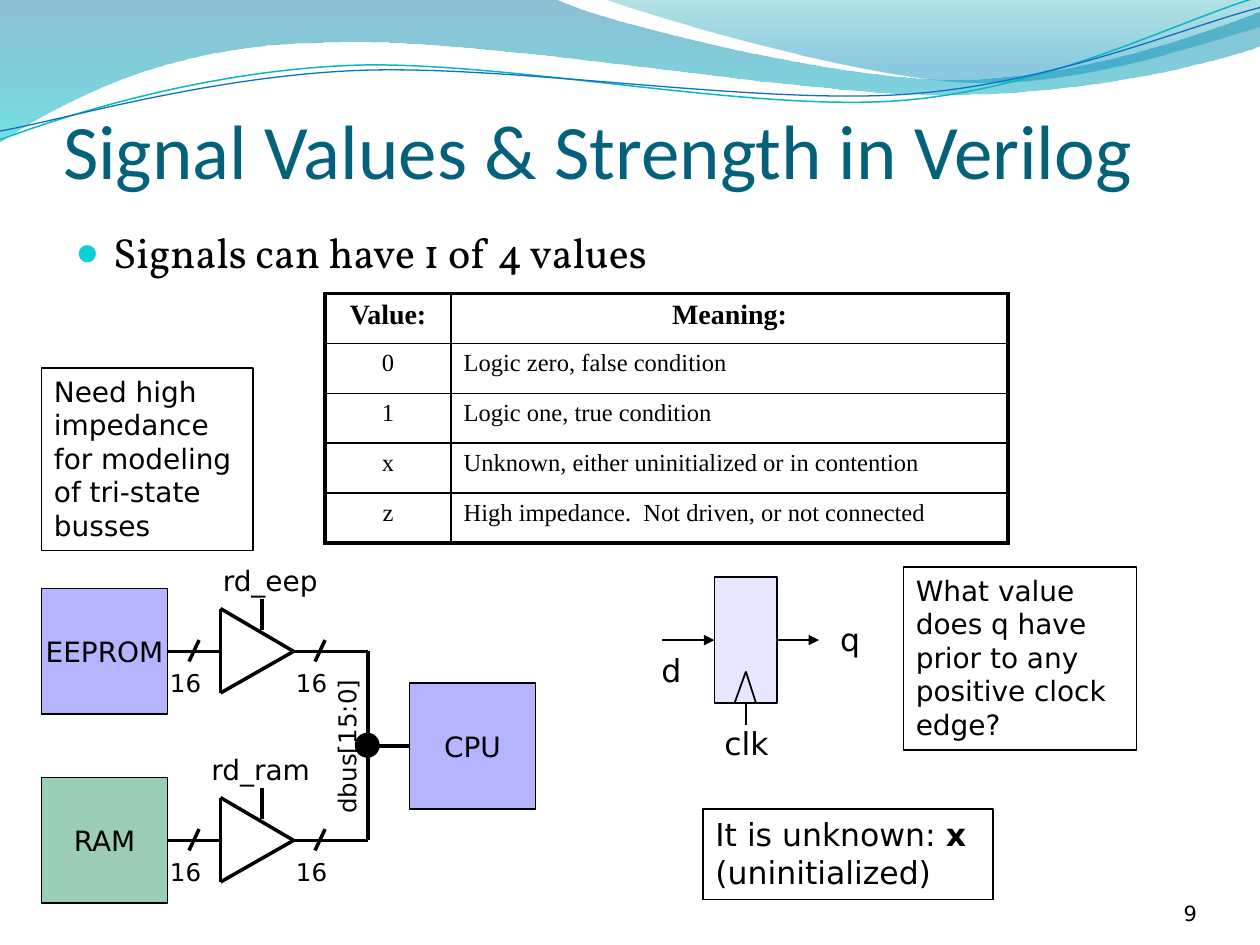
import pptx
import pptx.util
import pptx.dml.color
import pptx.enum.shapes
import pptx.enum.text
import pptx.oxml
import pptx.oxml.ns
from lxml import etree

Inches, Pt = pptx.util.Inches, pptx.util.Pt
ALIGN, ANCHOR = pptx.enum.text.PP_ALIGN, pptx.enum.text.MSO_ANCHOR
SHAPE = pptx.enum.shapes.MSO_SHAPE
qn = pptx.oxml.ns.qn

COLORS = {"ink": "000000", "title": "04617B", "bullet": "0BD0D9", "blue": "6969FF",
          "green": "339966", "teal_line": "0AB8BF", "blue_line": "0F6FC6"}
SANS, SERIF, HEAD, BODY = "DejaVu Sans", "Times New Roman", "Calibri", "Vollkorn"

TITLE = "Signal Values & Strength in Verilog"
POINT = "Signals can have 1 of 4 values"
VALUES = [("Value:", "Meaning:"),
          ("0", "Logic zero, false condition"),
          ("1", "Logic one, true condition"),
          ("x", "Unknown, either uninitialized or in contention"),
          ("z", "High impedance.  Not driven, or not connected")]
COLUMN_WIDTHS = (1, 4.42)

BANDS = [
    ([(0, -0.01), (4.4, -0.01), (4.76, 0.17, 6.64, 0.63, 7.58, 0.63),
      (8.53, 0.63, 9.58, 0.26, 10, 0.09), (10.01, 0.36),
      (9.83, 0.44, 8.7, 0.76, 7.46, 0.75), (6.22, 0.75, 3.82, 0.28, 2.57, 0.34),
      (1.29, 0.35, 0.46, 0.83, -0.01, 1.13)],
     [(0, "0074A1", 45), (1, "00C6CF", 55)]),
    ([(4.79, -0.01), (5.09, 0.11, 6.82, 0.62, 7.69, 0.65),
      (8.56, 0.69, 9.61, 0.32, 10, 0.21), (10, 0)],
     [(0, "00A1A9", 30), (0.8, "008BBF", 45)])]
WAVES = [
    ([(0, 1.11), (0.48, 0.93, 1.58, 0.57, 2.77, 0.52), (3.95, 0.47, 5.93, 0.89, 7.13, 0.8),
      (8.33, 0.71, 9.38, 0.15, 9.98, -0.02)], "teal_line", 0.85),
    ([(0, 1.04), (0.47, 0.96, 1.64, 0.61, 2.83, 0.56), (4.03, 0.51, 5.97, 0.83, 7.17, 0.75),
      (8.36, 0.67, 9.41, 0.21, 10, 0.06)], "blue_line", 0.75)]

NOTES = [((0.33, 2.92, 1.68, 1.45), 16, True,
          [[("Need high impedance for modeling of tri-state", False)], [("busses", False)]]),
         ((7.17, 4.5, 1.85, 1.45), 16, True,
          [[("What value", False)],
           [("does q have prior to any positive clock edge?", False)]]),
         ((5.58, 6.42, 2.3, 0.72), 18, False,
          [[("It is unknown: ", False), ("x", True)], [("(uninitialized)", False)]])]
CHANNELS = [("EEPROM", "blue", 5.17, "rd_eep", 1.67, 0.98),
            ("RAM", "green", 6.67, "rd_ram", 1.58, 1.02)]
BUFFER_LINES = [(2.33, 0, 1.75, -0.34), (2.33, 0, 1.75, 0.33), (1.75, 0.33, 1.75, -0.34),
                (2.08, -0.17, 2.08, -0.42), (2.33, 0, 2.92, 0)]
WIDTH_MARKS = (1.5, 2.5)
FLOP_LABELS = [("clk", 5.65, 5.7, 0.55), ("q", 6.57, 4.87, 0.36), ("d", 5.15, 5.12, 0.36)]
CLOCK_NOTCH = [(5.92, 5.33, 5.83, 5.58), (6, 5.58, 5.92, 5.33)]

deck = pptx.Presentation()
deck.slide_width, deck.slide_height = Inches(10), Inches(7.5)
slide = deck.slides.add_slide(deck.slide_layouts[5])
shapes = slide.shapes


def rgb(value):
    return pptx.dml.color.RGBColor.from_string(COLORS.get(value, value))


def set_alpha(color_element, percent):
    etree.SubElement(color_element, qn("a:alpha"), val=str(percent * 1000))


def add_run(paragraph, text, size, font=SANS, color="ink", bold=False):
    run = paragraph.add_run()
    run.text = text
    run.font.size, run.font.name, run.font.bold = Pt(size), font, bold
    run.font.color.rgb = rgb(color)


def add_label(text, box, size, align=ALIGN.LEFT, wrap=False):
    label = shapes.add_textbox(*map(Inches, box))
    label.text_frame.word_wrap = wrap
    paragraph = label.text_frame.paragraphs[0]
    paragraph.alignment = align
    add_run(paragraph, text, size)
    return label


def add_block(box, fill=None, alpha=None, text=None, kind=SHAPE.RECTANGLE, weight=1):
    block = shapes.add_shape(kind, *map(Inches, box))
    block.shadow.inherit = False
    block.line.color.rgb, block.line.width = rgb("ink"), Pt(weight)
    if fill:
        block.fill.solid()
        block.fill.fore_color.rgb = rgb(fill)
        if alpha:
            set_alpha(block._element.spPr.find(qn("a:solidFill"))[0], alpha)
    else:
        block.fill.background()
    if text:
        block.text_frame.word_wrap = False
        block.text_frame.vertical_anchor = ANCHOR.MIDDLE
        block.text_frame.paragraphs[0].alignment = ALIGN.CENTER
        add_run(block.text_frame.paragraphs[0], text, 16)
    return block


def add_wire(ends, weight=2, start=None, end=None, arrow=False):
    wire = shapes.add_connector(pptx.enum.shapes.MSO_CONNECTOR.STRAIGHT, *map(Inches, ends))
    if start:
        wire.begin_connect(*start)
    if end:
        wire.end_connect(*end)
    wire.line.color.rgb, wire.line.width = rgb("ink"), Pt(weight)
    if arrow:
        etree.SubElement(wire.line._get_or_add_ln(), qn("a:tailEnd"), type="triangle")
    etree.SubElement(wire._element.spPr, qn("a:effectLst"))


def add_outline(segments, closed):
    knots = [(Inches(segment[-2]), Inches(segment[-1])) for segment in segments]
    builder = shapes.build_freeform(*knots[0])
    builder.add_line_segments(knots[1:], close=closed)
    outline = builder.convert_to_shape()
    outline.shadow.inherit = False
    straights = list(outline._element.spPr.iter(qn("a:lnTo")))
    for straight, segment in zip(straights, segments[1:]):
        if len(segment) == 6:
            curve = etree.Element(qn("a:cubicBezTo"))
            for x, y in zip(segment[::2], segment[1::2]):
                etree.SubElement(curve, qn("a:pt"), x=str(Inches(x) - outline.left),
                                 y=str(Inches(y) - outline.top))
            straight.getparent().replace(straight, curve)
    return outline


for segments, stops in BANDS:
    band = add_outline(segments, True)
    band.line.fill.background()
    band.fill.gradient()
    band.fill.gradient_angle = 270
    for stop, (position, color, _) in zip(band.fill.gradient_stops, stops):
        stop.position, stop.color.rgb = position, rgb(color)
    for element, (_, _, alpha) in zip(band._element.spPr.iter(qn("a:srgbClr")), stops):
        set_alpha(element, alpha)
for segments, color, weight in WAVES:
    wave = add_outline(segments, False)
    wave.fill.background()
    wave.line.color.rgb, wave.line.width = rgb(color), Pt(weight)

title = shapes.title
title.left, title.top, title.width, title.height = map(Inches, (0.5, 0.3, 9, 1.25))
frame = title.text_frame
frame.auto_size, frame.vertical_anchor = pptx.enum.text.MSO_AUTO_SIZE.NONE, ANCHOR.BOTTOM
frame.margin_left = frame.margin_right = frame.margin_bottom = 0
frame.margin_top = Inches(0.05)
frame.paragraphs[0].alignment = ALIGN.LEFT
add_run(frame.paragraphs[0], TITLE, 44, HEAD, "title")

body = shapes.add_textbox(*map(Inches, (0.5, 1.75, 4.92, 5.42)))
body.text_frame.word_wrap = True
point = body.text_frame.paragraphs[0]
bullet = point._p.get_or_add_pPr()
bullet.set("marL", str(Inches(0.3)))
bullet.set("indent", str(Inches(-0.3)))
etree.SubElement(etree.SubElement(bullet, qn("a:buClr")), qn("a:srgbClr"), val=COLORS["bullet"])
etree.SubElement(bullet, qn("a:buSzPct"), val="95000")
etree.SubElement(bullet, qn("a:buFont"), typeface=SERIF)
etree.SubElement(bullet, qn("a:buChar"), char="●")
add_run(point, POINT, 24, BODY)

table = shapes.add_table(len(VALUES), 2, *map(Inches, (2.58, 2.33, 5.42, 1.98))).table
table.first_row = table.horz_banding = False
for column, width in zip(table.columns, COLUMN_WIDTHS):
    column.width = Inches(width)
for r, row in enumerate(VALUES):
    for c, text in enumerate(row):
        cell = table.cell(r, c)
        cell.fill.background()
        paragraph = cell.text_frame.paragraphs[0]
        paragraph.alignment = ALIGN.CENTER if r == 0 or c == 0 else ALIGN.LEFT
        add_run(paragraph, text, 14 if r else 16, SERIF, bold=r == 0)
        outer = {"L": c == 0, "R": c == 1, "T": r == 0, "B": r == len(VALUES) - 1}
        for i, (side, thick) in enumerate(outer.items()):
            border = etree.Element(qn(f"a:ln{side}"), w=str(Pt(2.25 if thick else 1)))
            fill = etree.SubElement(border, qn("a:solidFill"))
            etree.SubElement(fill, qn("a:srgbClr"), val=COLORS["ink"])
            cell._tc.get_or_add_tcPr().insert(i, border)

for box, size, wrap, paragraphs in NOTES:
    note = add_block(box)
    note.text_frame.word_wrap, note.text_frame.vertical_anchor = wrap, ANCHOR.TOP
    for i, runs in enumerate(paragraphs):
        paragraph = note.text_frame.add_paragraph() if i else note.text_frame.paragraphs[0]
        paragraph.alignment = ALIGN.LEFT
        for text, bold in runs:
            add_run(paragraph, text, size, bold=bold)

for memory, color, y, enable, enable_left, enable_width in CHANNELS:
    block = add_block((0.33, y - 0.5, 1, 1), color, 49, memory)
    add_wire((1.75, y, 1.33, y), end=(block, 3))
    for x1, dy1, x2, dy2 in BUFFER_LINES:
        add_wire((x1, y + dy1, x2, y + dy2))
    for x in WIDTH_MARKS:
        add_wire((x + 0.08, y - 0.09, x, y + 0.08))
        add_label("16", (x - 0.25, y + 0.08, 0.45, 0.33), 14)
    add_label(enable, (enable_left, y - 0.75, enable_width, 0.37), 16)

add_wire((2.92, CHANNELS[0][2], 2.92, CHANNELS[1][2]))
cpu = add_block((3.25, 5.42, 1, 1), "blue", 49, "CPU")
add_wire((2.92, 5.92, 3.25, 5.92), end=(cpu, 1))
add_block((2.83, 5.83, 0.17, 0.17), "ink", kind=SHAPE.OVAL, weight=2)
add_label("dbus[15:0]", (2.1, 5.74, 1.3, 0.33), 14).rotation = 270

flop = add_block((5.67, 4.58, 0.5, 1), "blue", 16)
for ends in CLOCK_NOTCH:
    add_wire(ends, 1)
add_wire((5.92, 5.58, 5.92, 5.75), 1, start=(flop, 2))
add_wire((5.25, 5.08, 5.67, 5.08), 1, end=(flop, 1), arrow=True)
add_wire((6.17, 5.08, 6.5, 5.08), 1, start=(flop, 3), arrow=True)
for text, left, top, width in FLOP_LABELS:
    add_label(text, (left, top, width, 0.4), 18)

number = add_label("9", (8.67, 6.95, 0.83, 0.4), 12, ALIGN.RIGHT, True).text_frame
number.vertical_anchor = ANCHOR.BOTTOM
number.margin_left = number.margin_right = number.margin_top = number.margin_bottom = 0

deck.save("out.pptx")
